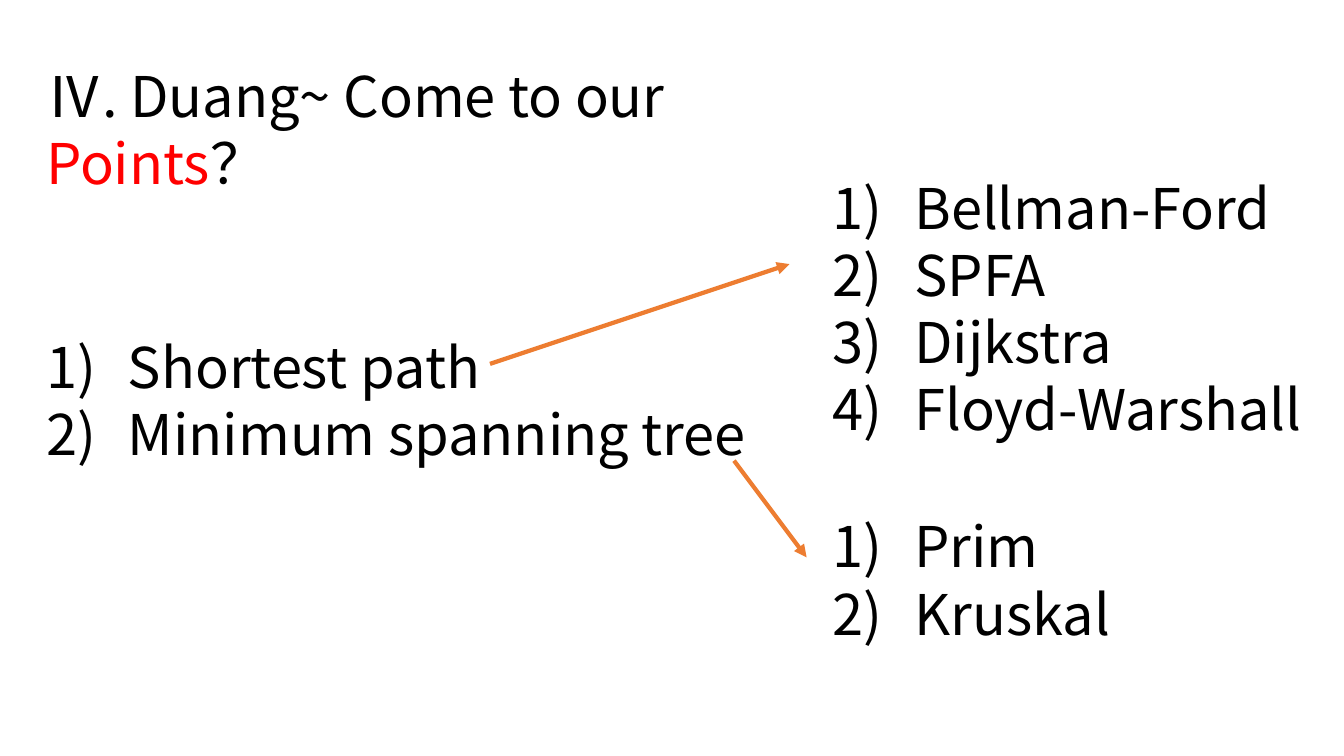
import pptx
import pptx.dml.color
import pptx.enum.shapes
import pptx.enum.text
import pptx.oxml.ns
import pptx.util
from lxml import etree

Inches = pptx.util.Inches
THEME = {
    "font": "Noto Sans CJK JP",
    "size": 40,
    "ink": "000000",
    "accent": "FF0000",
    "arrow": "ED7D31",
    "arrow_width": 3,
    "indent": 0.81,
}


def rgb(name):
    """Return a theme colour."""
    return pptx.dml.color.RGBColor.from_string(THEME[name])


def add_element(parent, tag, **values):
    """Append a drawing element with the given attributes."""
    return etree.SubElement(parent, pptx.oxml.ns.qn(tag), values)


def add_span(para, text, colour="ink"):
    """Add a run in the theme font."""
    span = para.add_run()
    span.text = text
    formats = {"name": THEME["font"], "size": pptx.util.Pt(THEME["size"])}
    for key, value in formats.items():
        setattr(span.font, key, value)
    span.font.color.rgb = rgb(colour)
    add_element(span.font._element, "a:ea", typeface=THEME["font"])


def add_frame(page, box):
    """Add a wrapping text box that fits its text."""
    frame = page.shapes.add_textbox(*map(Inches, box)).text_frame
    formats = {
        "word_wrap": True,
        "auto_size": pptx.enum.text.MSO_AUTO_SIZE.SHAPE_TO_FIT_TEXT,
    }
    for key, value in formats.items():
        setattr(frame, key, value)
    return frame


def add_title(page, box):
    """Write the heading with its highlighted word."""
    para = add_frame(page, box).paragraphs[0]
    add_span(para, "Ⅳ. Duang~ Come to our ")
    add_span(para, "Points", "accent")
    add_span(para, "？")


def add_numbered_list(page, box, items):
    """Write the items as a numbered list."""
    frame = add_frame(page, box)
    indent = Inches(THEME["indent"])
    for index, item in enumerate(items):
        para = frame.add_paragraph() if index else frame.paragraphs[0]
        add_span(para, item)
        props = para._p.get_or_add_pPr()
        for key, value in {"marL": indent, "indent": -indent}.items():
            props.set(key, str(value))
        add_element(props, "a:buFont", typeface="+mj-lt")
        add_element(props, "a:buAutoNum", type="arabicParenR")


def add_arrow(page, start, end):
    """Draw an arrow from a topic to its algorithms."""
    arrow = page.shapes.add_connector(
        pptx.enum.shapes.MSO_CONNECTOR.STRAIGHT, *map(Inches, start + end)
    )
    arrow.line.color.rgb = rgb("arrow")
    arrow.line.width = pptx.util.Pt(THEME["arrow_width"])
    add_element(arrow.line._get_or_add_ln(), "a:tailEnd", type="triangle")
    add_element(arrow._element.spPr, "a:effectLst")


def main():
    """Build the slide and save it."""
    deck = pptx.Presentation()
    deck.slide_width, deck.slide_height = Inches(13.33), Inches(7.5)
    page = deck.slides.add_slide(deck.slide_layouts[6])
    add_title(page, (0.36, 0.56, 8.1, 0.77))
    add_numbered_list(
        page, (0.36, 3.25, 8.18, 1.45), ["Shortest path", "Minimum spanning tree"]
    )
    add_arrow(page, (4.86, 3.61), (7.83, 2.62))
    add_numbered_list(
        page,
        (8.16, 1.67, 4.88, 2.79),
        ["Bellman-Ford", "SPFA", "Dijkstra", "Floyd-Warshall"],
    )
    add_arrow(page, (7.28, 4.57), (8, 5.53))
    add_numbered_list(page, (8.16, 5.03, 4.88, 1.45), ["Prim", "Kruskal"])
    deck.save("out.pptx")


if __name__ == "__main__":
    main()
